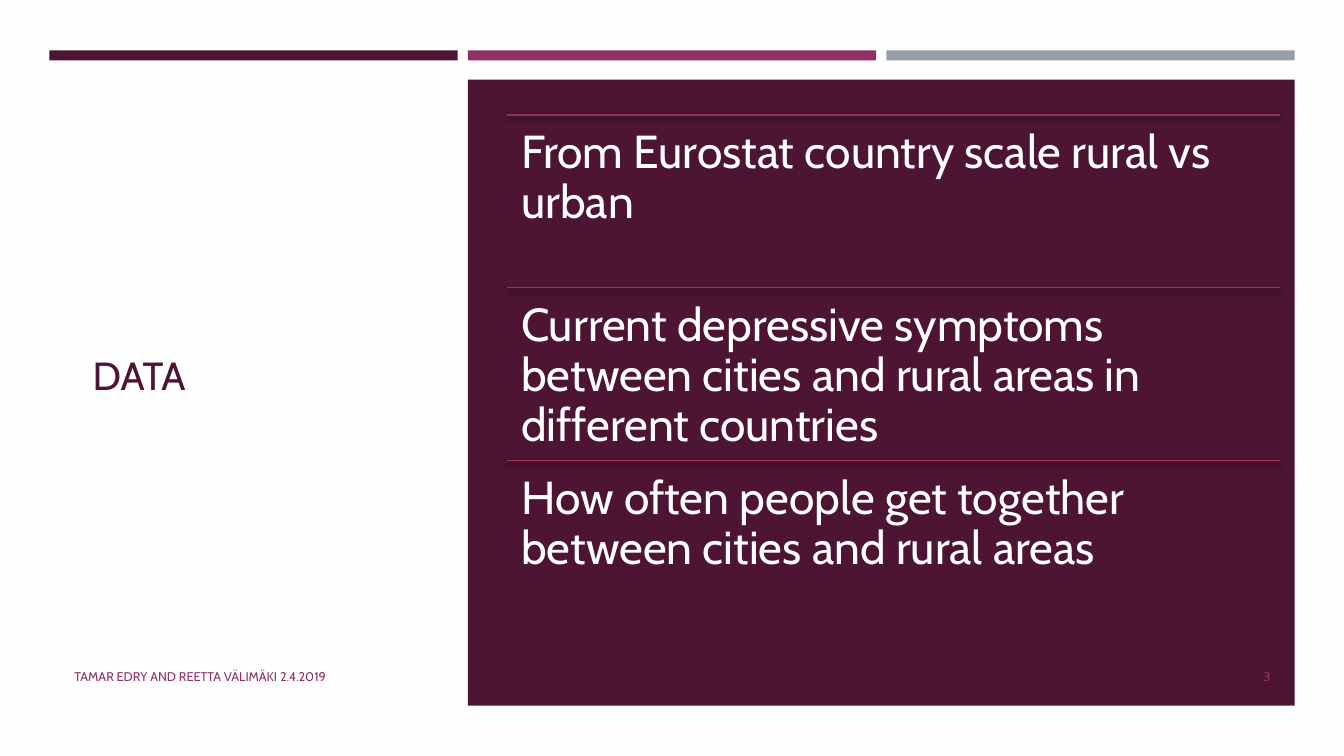
"""Build the "Data" slide with three ruled statements on a dark panel."""
from dataclasses import dataclass

from lxml.etree import SubElement
from pptx import Presentation
from pptx.dml.color import RGBColor
from pptx.enum.shapes import MSO_CONNECTOR as Connector, MSO_SHAPE as Shape
from pptx.enum.text import MSO_ANCHOR as Anchor, PP_ALIGN as Align
from pptx.oxml.ns import qn
from pptx.util import Inches, Pt


@dataclass(frozen=True)
class Theme:
    font: str = "Cabin"
    paper: str = "FFFEFF"
    plum: str = "4D1434"
    magenta: str = "903163"
    gray: str = "969FA7"
    white: str = "FFFFFF"
    shadow: str = "000000"
    rules: tuple = ("903163", "A1325A", "B2324B")
    title_size: int = 28
    statement_size: int = 33
    footer_size: int = 9


theme = Theme()
presentation = Presentation()
presentation.slide_width = Inches(13.33)
presentation.slide_height = Inches(7.5)
slide = presentation.slides.add_slide(presentation.slide_layouts[6])
slide.background.fill.solid()
slide.background.fill.fore_color.rgb = RGBColor.from_string(theme.paper)


def add_block(left, top, width, height, color):
    block = slide.shapes.add_shape(
        Shape.RECTANGLE, Inches(left), Inches(top), Inches(width), Inches(height))
    block.shadow.inherit = False
    block.fill.solid()
    block.fill.fore_color.rgb = RGBColor.from_string(color)
    block.line.fill.background()


def add_text(text, left, top, width, height, *, size, color, anchor=Anchor.MIDDLE,
             align=Align.LEFT, inset=(0.1, 0.05), line_spacing=None):
    box = slide.shapes.add_textbox(
        Inches(left), Inches(top), Inches(width), Inches(height))
    frame = box.text_frame
    frame.word_wrap = True
    frame.vertical_anchor = anchor
    frame.margin_left = frame.margin_right = Inches(inset[0])
    frame.margin_top = frame.margin_bottom = Inches(inset[1])
    paragraph = frame.paragraphs[0]
    paragraph.alignment = align
    paragraph.line_spacing = line_spacing
    run = paragraph.add_run()
    run.text = text
    run.font.name = theme.font
    run.font.size = Pt(size)
    run.font.color.rgb = RGBColor.from_string(color)


add_text("DATA", 0.82, 1.14, 3.34, 5.15, size=theme.title_size, color=theme.plum)

bar_left, bar_width, bar_step = 0.49, 4.05, 4.15
for column, color in enumerate((theme.plum, theme.magenta, theme.gray)):
    add_block(bar_left + column * bar_step, 0.5, bar_width, 0.1, color)
add_block(bar_left + bar_step, 0.79, bar_step + bar_width, 6.21, theme.plum)

statements = (
    "From Eurostat country scale rural vs urban",
    "Current depressive symptoms between cities and rural areas in different countries",
    "How often people get together between cities and rural areas",
)
list_left, list_top, list_width, row_height = 5.03, 1.14, 7.67, 1.715
for row, (statement, color) in enumerate(zip(statements, theme.rules)):
    top = list_top + row * row_height
    rule = slide.shapes.add_connector(
        Connector.STRAIGHT, Inches(list_left), Inches(top),
        Inches(list_left + list_width), Inches(top))
    rule.line.color.rgb = RGBColor.from_string(color)
    rule.line.width = Pt(1)
    effects = SubElement(rule.element.spPr, qn("a:effectLst"))
    shadow = SubElement(effects, qn("a:outerShdw"), blurRad=str(Pt(3)),
                        dist=str(Pt(2)), dir="5400000", rotWithShape="0")
    shadow_color = SubElement(shadow, qn("a:srgbClr"), val=theme.shadow)
    SubElement(shadow_color, qn("a:alpha"), val="55000")
    add_text(statement, list_left, top, list_width, row_height,
             size=theme.statement_size, color=theme.white, anchor=Anchor.TOP,
             inset=(0.14, 0.14), line_spacing=0.9)

footer = {"size": theme.footer_size, "color": theme.magenta}
add_text("TAMAR EDRY AND REETTA VÄLIMÄKI 2.4.2019", 0.64, 6.51, 7.56, 0.4, **footer)
add_text("3", 11.55, 6.51, 1.15, 0.4, align=Align.RIGHT, **footer)

presentation.save("out.pptx")
